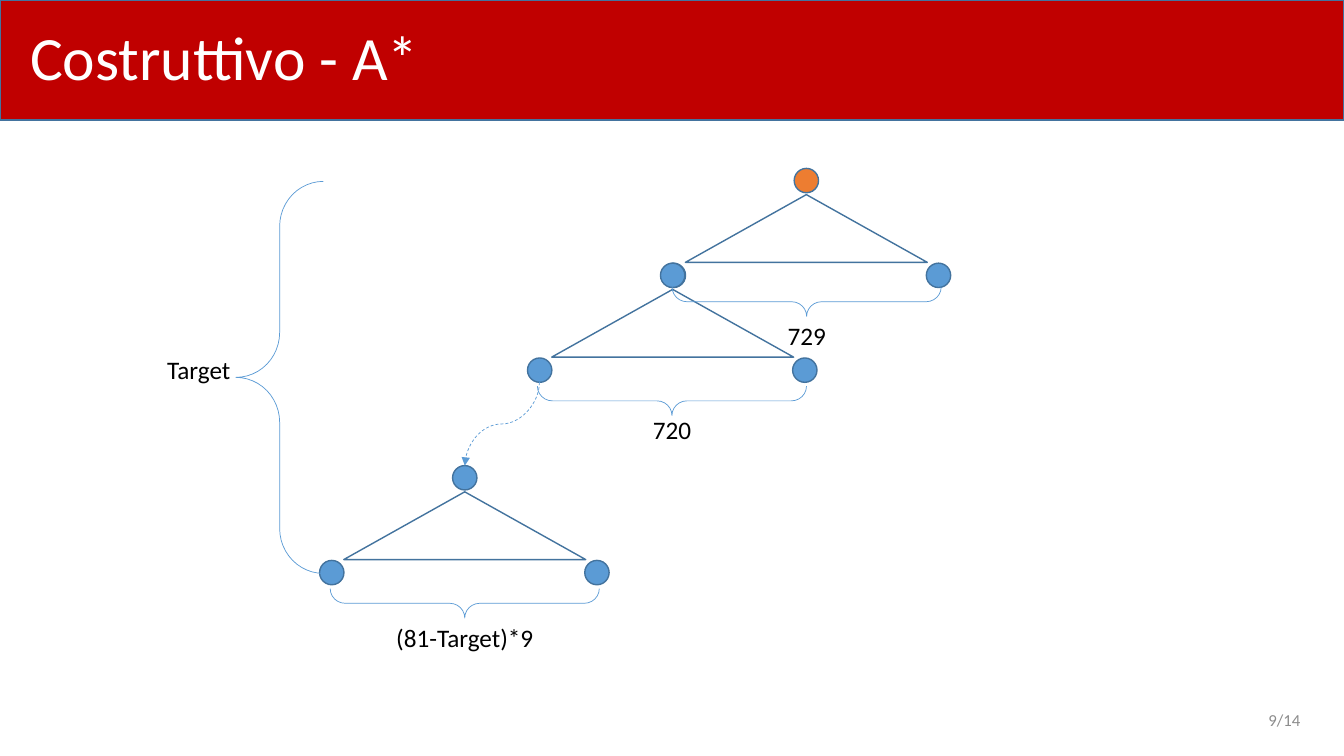
from dataclasses import dataclass

from lxml import etree
from pptx import Presentation
from pptx.dml.color import RGBColor
from pptx.enum.dml import MSO_LINE
from pptx.enum.shapes import MSO_CONNECTOR, MSO_SHAPE
from pptx.enum.text import MSO_ANCHOR, PP_ALIGN
from pptx.oxml.ns import qn
from pptx.util import Pt

RECT, OVAL = MSO_SHAPE.RECTANGLE, MSO_SHAPE.OVAL
WEDGE, BRACE = MSO_SHAPE.ISOSCELES_TRIANGLE, MSO_SHAPE.LEFT_BRACE
CURVE, DASH = MSO_CONNECTOR.CURVE, MSO_LINE.DASH
LEFT, MID, RIGHT = PP_ALIGN.LEFT, PP_ALIGN.CENTER, PP_ALIGN.RIGHT
TOP, HALF = MSO_ANCHOR.TOP, MSO_ANCHOR.MIDDLE


@dataclass(frozen=True)
class Theme:
    font: str = "Calibri"
    red: str = "C00000"
    blue: str = "5B9BD5"
    edge: str = "43739E"
    root: str = "ED7D31"
    white: str = "FFFFFF"
    black: str = "000000"
    gray: str = "8C8C8C"
    title: int = 44
    label: int = 18
    small: int = 12


THEME = Theme()
DOT = 17.4  # node diameter


def rgb(code):
    return RGBColor.from_string(code)


def text(slide, box, words, size=THEME.label, color=THEME.black,
         align=LEFT, anchor=TOP, wrap=False, space=1.0):
    frame = slide.shapes.add_textbox(*map(Pt, box)).text_frame
    frame.word_wrap = wrap
    frame.vertical_anchor = anchor
    para = frame.paragraphs[0]
    para.alignment = align
    para.line_spacing = space
    run = para.add_run()
    run.text = words
    run.font.name = THEME.font
    run.font.size = Pt(size)
    run.font.color.rgb = rgb(color)


def shape(slide, kind, box, fill=None, line=THEME.edge, width=1):
    item = slide.shapes.add_shape(kind, *map(Pt, box))
    item.shadow.inherit = False
    if fill:
        item.fill.solid()
        item.fill.fore_color.rgb = rgb(fill)
    else:
        item.fill.background()
    item.line.color.rgb = rgb(line)
    item.line.width = Pt(width)
    return item


def brace(slide, box, turn=0):
    item = shape(slide, BRACE, box, line=THEME.blue, width=0.5)
    item.adjustments[0] = 0.513
    item.rotation = turn


def header(slide, box):
    left, top, width, height = box
    shape(slide, RECT, box, THEME.red)
    text(slide, (left + 14.4, top + 6.5, 828, height - 12.2),
         "Costruttivo - A*", size=THEME.title, color=THEME.white,
         anchor=HALF, wrap=True, space=0.9)


def tree(slide, x, y, fill=THEME.blue):
    """Top node centred on x with its top at y, and two children."""
    shape(slide, WEDGE, (x - 86.4, y + 18.7, 172.8, 48.4), THEME.white)
    for shift, drop, tint in ((0, 0, fill), (-95, 67.7, THEME.blue),
                              (94.4, 67.7, THEME.blue)):
        shape(slide, OVAL, (x + shift - DOT / 2, y + drop, DOT, DOT), tint)


def count(slide, x, y, words, width, gap):
    """Brace centred on (x, y), with its label below."""
    thick, span = 20.9, 192.2
    brace(slide, (x - thick / 2, y - span / 2, thick, span), turn=270)
    text(slide, (x - width / 2, y + gap, width, 29), words, align=MID)


def depth(slide, box):
    left, top, width, height = box
    brace(slide, box)
    text(slide, (left - 56.2, top + height / 2 - 19.8, 60.5, 29), "Target")


def jump(slide, start, end):
    """Dashed curve that leaves downward: a flat curve turned by 90 degrees."""
    (x1, y1), (x2, y2) = start, end
    x, y = (x1 + x2) / 2, (y1 + y2) / 2
    long, wide = (y2 - y1) / 2, (x1 - x2) / 2
    link = slide.shapes.add_connector(
        CURVE, Pt(x - long), Pt(y - wide), Pt(x + long), Pt(y + wide))
    link.line.color.rgb = rgb(THEME.blue)
    link.line.width = Pt(0.5)
    link.line.dash_style = DASH
    props = link.element.spPr
    props.find(qn("a:xfrm")).set("rot", str(90 * 60000))
    tail = etree.SubElement(props.find(qn("a:ln")), qn("a:tailEnd"))
    tail.set("type", "triangle")
    etree.SubElement(props, qn("a:effectLst"))


def main():
    deck = Presentation()
    deck.slide_width, deck.slide_height = Pt(960), Pt(540)
    slide = deck.slides.add_slide(deck.slide_layouts[6])

    # Title bar and page number
    header(slide, (0, 0, 960, 85.7))
    text(slide, (720, 499.7, 216, 29.5), "9/14", size=THEME.small,
         color=THEME.gray, align=RIGHT, anchor=HALF, wrap=True)

    # Search trees, from the root down
    tree(slide, 576, 120.3, THEME.root)
    tree(slide, 480.5, 188)
    tree(slide, 332, 332.6)
    jump(slide, (385.3, 273), (332, 332.6))

    # Depth and node counts
    depth(slide, (168.5, 129.6, 62.6, 280))
    count(slide, 332, 430.9, "(81-Target)*9", 113.8, 9.8)
    count(slide, 480, 286.3, "720", 42.5, 6)
    count(slide, 576.2, 215.5, "729", 42.5, 9.8)

    deck.save("out.pptx")


if __name__ == "__main__":
    main()
